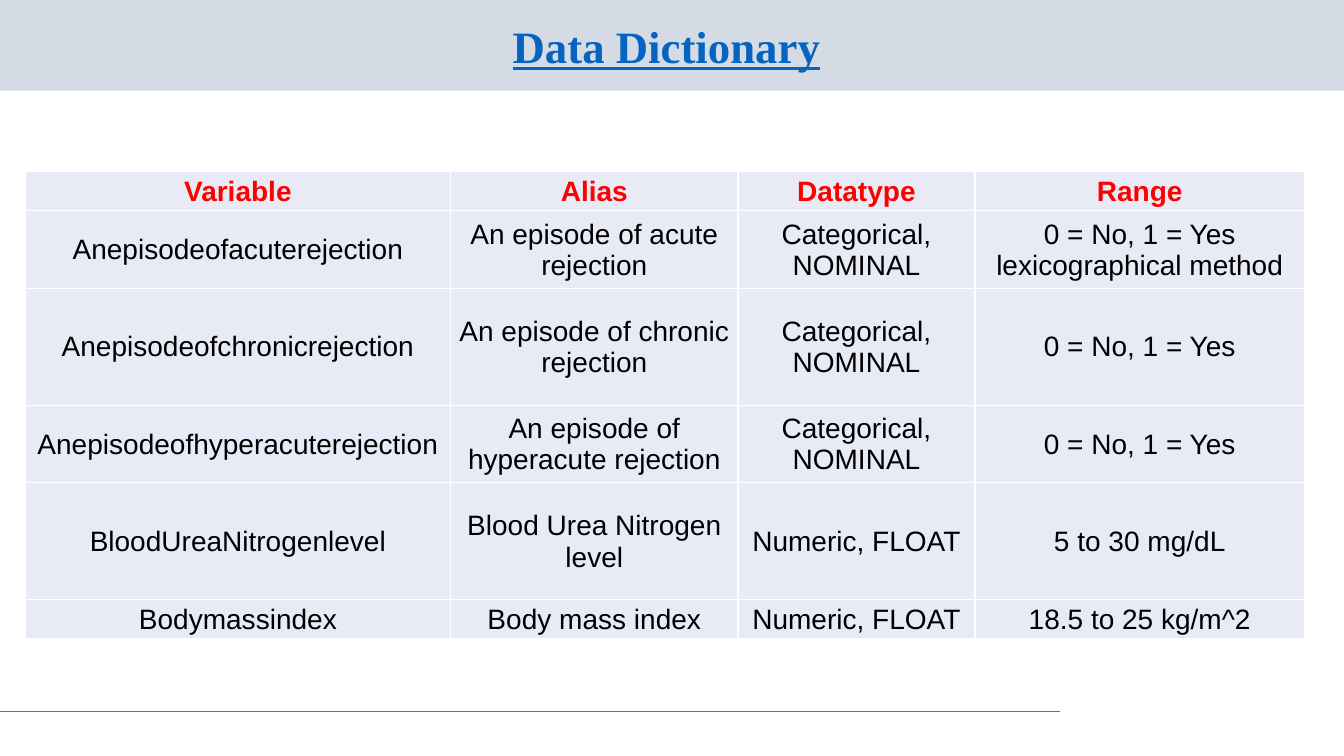
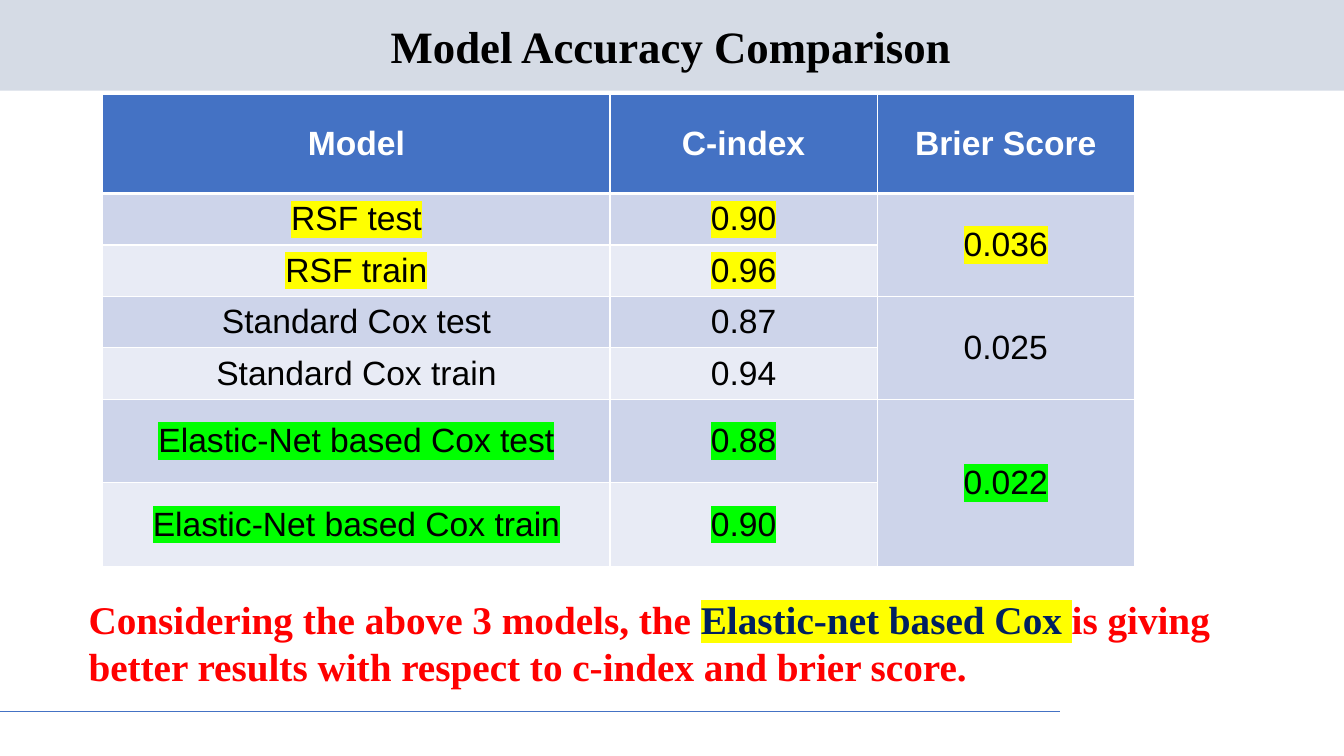
from dataclasses import dataclass
from lxml.etree import SubElement
from pptx import Presentation
from pptx.dml.color import RGBColor
from pptx.enum.shapes import MSO_CONNECTOR, MSO_SHAPE
from pptx.enum.text import MSO_ANCHOR, PP_ALIGN
from pptx.oxml.ns import qn
from pptx.util import Inches, Pt


@dataclass(frozen=True)
class Theme:
    heading_font: str = "Times New Roman"
    body_font: str = "Arial"
    title_size: int = 32
    caption_size: int = 28
    score_size: int = 24
    dictionary_size: int = 20
    band: str = "D5DBE5"
    blue: str = "4472C4"
    link: str = "0563C1"
    navy: str = "002060"
    red: str = "FF0000"
    black: str = "000000"
    white: str = "FFFFFF"
    light_row: str = "E8EBF5"
    dark_row: str = "CDD4EA"
    yellow: str = "FFFF00"
    green: str = "00FF00"


THEME = Theme()
SLIDE_WIDTH, SLIDE_HEIGHT = 13.33, 7.5

DICTIONARY_ROWS = [
    ("Variable", "Alias", "Datatype", "Range"),
    ("Anepisodeofacuterejection", "An episode of acute rejection",
     "Categorical, NOMINAL", "0 = No, 1 = Yes\vlexicographical method"),
    ("Anepisodeofchronicrejection", "An episode of chronic rejection",
     "Categorical, NOMINAL", "0 = No, 1 = Yes"),
    ("Anepisodeofhyperacuterejection", "An episode of hyperacute rejection",
     "Categorical, NOMINAL", "0 = No, 1 = Yes"),
    ("BloodUreaNitrogenlevel", "Blood Urea Nitrogen level",
     "Numeric, FLOAT", "5 to 30 mg/dL"),
    ("Bodymassindex", "Body mass index", "Numeric, FLOAT", "18.5 to 25 kg/m^2"),
]
DICTIONARY_COLUMNS = [4.22, 2.85, 2.35, 3.27]
DICTIONARY_HEIGHTS = [0.39, 0.77, 1.16, 0.77, 1.16, 0.39]

SCORE_HEADER = ("Model", "C-index", "Brier Score")
MODELS = [
    ("RSF", "0.90", "0.96", "0.036", THEME.yellow),
    ("Standard Cox", "0.87", "0.94", "0.025", None),
    ("Elastic-Net based Cox", "0.88", "0.90", "0.022", THEME.green),
]
SCORE_COLUMNS = [5.03, 2.65, 2.55]
SCORE_HEIGHTS = [0.98] + [0.51] * 4 + [0.83] * 2

CONCLUSION = [
    ("Considering the above 3 models, the ", THEME.red, None),
    ("Elastic-net based Cox ", THEME.navy, THEME.yellow),
    ("is giving better results with respect to c-index and brier score.", THEME.red, None),
]


def rgb(color):
    return RGBColor.from_string(color)


def style_font(font, name, size, bold, color=None):
    font.name = name
    font.size = Pt(size)
    font.bold = bold
    if color:
        font.color.rgb = rgb(color)


def highlight(run, color):
    properties = run.font._element
    mark = SubElement(properties, qn("a:highlight"))
    SubElement(mark, qn("a:srgbClr"), val=color)


def add_text_box(slide, left, top, width, height, anchor):
    box = slide.shapes.add_textbox(Inches(left), Inches(top), Inches(width), Inches(height))
    frame = box.text_frame
    frame.word_wrap = True
    frame.vertical_anchor = anchor
    return frame.paragraphs[0]


def add_titled_slide(presentation, title, color, title_width, underline=False):
    slide = presentation.slides.add_slide(presentation.slide_layouts[6])
    band = slide.shapes.add_shape(
        MSO_SHAPE.RECTANGLE, 0, 0, Inches(SLIDE_WIDTH), Inches(0.9))
    band.shadow.inherit = False
    band.fill.solid()
    band.fill.fore_color.rgb = rgb(THEME.band)
    band.line.fill.background()

    rule = slide.shapes.add_connector(
        MSO_CONNECTOR.STRAIGHT, 0, Inches(7.06), Inches(10.51), Inches(7.06))
    rule.line.color.rgb = rgb(THEME.blue)
    rule.line.width = Pt(0.75)
    SubElement(rule._element.spPr, qn("a:effectLst"))

    paragraph = add_text_box(slide, 0.25, 0.19, title_width, 0.59, MSO_ANCHOR.MIDDLE)
    paragraph.text = title
    paragraph.alignment = PP_ALIGN.CENTER
    paragraph.line_spacing = 0.9
    style_font(paragraph.font, THEME.heading_font, THEME.title_size, True, color)
    paragraph.font.underline = underline
    return slide


def add_grid(slide, left, top, columns, heights):
    table = slide.shapes.add_table(
        len(heights), len(columns), Inches(left), Inches(top),
        Inches(sum(columns)), Inches(sum(heights))).table
    table.first_row = False
    table.horz_banding = False
    for column, width in zip(table.columns, columns):
        column.width = Inches(width)
    for row, height in zip(table.rows, heights):
        row.height = Inches(height)
    return table


def style_cell(cell, fill, margins, top_border=1, bottom_border=1):
    cell.vertical_anchor = MSO_ANCHOR.MIDDLE
    cell.margin_left, cell.margin_top, cell.margin_right, cell.margin_bottom = map(Inches, margins)
    properties = cell._tc.get_or_add_tcPr()
    borders = {"lnL": 1, "lnR": 1, "lnT": top_border, "lnB": bottom_border}
    for side, width in borders.items():
        border = SubElement(properties, qn(f"a:{side}"), w=str(Pt(width)))
        SubElement(SubElement(border, qn("a:solidFill")), qn("a:srgbClr"), val=THEME.white)
    cell.fill.solid()
    cell.fill.fore_color.rgb = rgb(fill)


def write_cell(cell, text, size, color, bold, mark=None):
    paragraph = cell.text_frame.paragraphs[0]
    paragraph.text = text
    paragraph.alignment = PP_ALIGN.CENTER
    style_font(paragraph.font, THEME.body_font, size, bold, color)
    if mark:
        highlight(paragraph.runs[0], mark)


def build_dictionary_slide(presentation):
    slide = add_titled_slide(presentation, "Data Dictionary", THEME.link, 12.72, underline=True)
    table = add_grid(slide, 0.25, 1.7, DICTIONARY_COLUMNS, DICTIONARY_HEIGHTS)
    for row, texts in enumerate(DICTIONARY_ROWS):
        is_header = row == 0
        for column, text in enumerate(texts):
            cell = table.cell(row, column)
            style_cell(cell, THEME.light_row, (0.01, 0.01, 0.01, 0))
            write_cell(cell, text, THEME.dictionary_size,
                       THEME.red if is_header else THEME.black, is_header)


def add_score_table(slide):
    table = add_grid(slide, 1.02, 0.94, SCORE_COLUMNS, SCORE_HEIGHTS)
    for row in range(len(SCORE_HEIGHTS)):
        fill = THEME.blue if row == 0 else THEME.dark_row if row % 2 else THEME.light_row
        for column in range(len(SCORE_COLUMNS)):
            style_cell(table.cell(row, column), fill, (0.1, 0.05, 0.1, 0.05),
                       top_border=3 if row == 1 else 1, bottom_border=3 if row == 0 else 1)
    for column, text in enumerate(SCORE_HEADER):
        write_cell(table.cell(0, column), text, THEME.score_size, THEME.white, True)
    for index, (model, test_score, train_score, brier, mark) in enumerate(MODELS):
        first = 1 + 2 * index
        table.cell(first, 2).merge(table.cell(first + 1, 2))
        entries = [
            (first, 0, f"{model} test"), (first, 1, test_score), (first, 2, brier),
            (first + 1, 0, f"{model} train"), (first + 1, 1, train_score),
        ]
        for row, column, text in entries:
            write_cell(table.cell(row, column), text, THEME.score_size, THEME.black, False, mark)


def build_accuracy_slide(presentation):
    slide = add_titled_slide(presentation, "Model Accuracy Comparison", THEME.black, 12.81)
    add_score_table(slide)
    paragraph = add_text_box(slide, 0.78, 5.86, 11.77, 1.04, MSO_ANCHOR.TOP)
    style_font(paragraph.font, THEME.heading_font, THEME.caption_size, True)
    for text, color, mark in CONCLUSION:
        run = paragraph.add_run()
        run.text = text
        run.font.color.rgb = rgb(color)
        if mark:
            highlight(run, mark)


def main():
    presentation = Presentation()
    presentation.slide_width = Inches(SLIDE_WIDTH)
    presentation.slide_height = Inches(SLIDE_HEIGHT)
    build_dictionary_slide(presentation)
    build_accuracy_slide(presentation)
    presentation.save("out.pptx")


if __name__ == "__main__":
    main()
